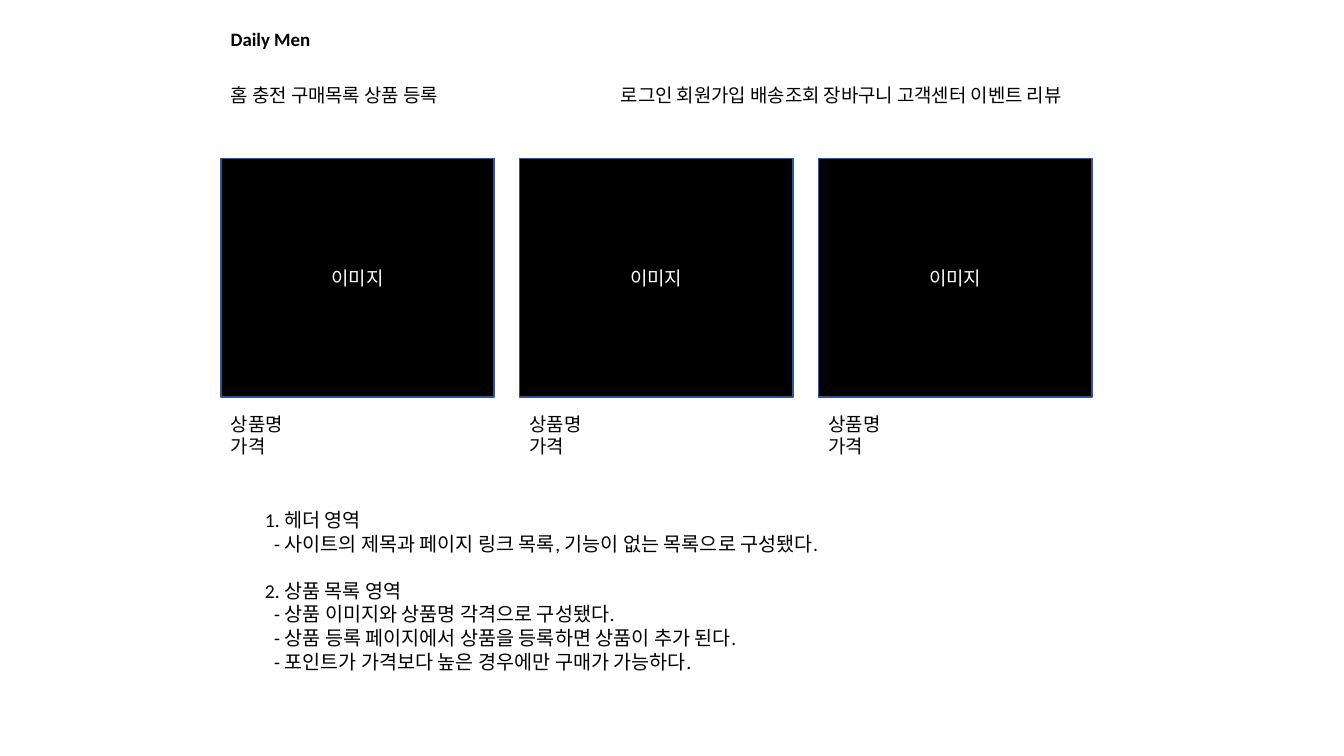
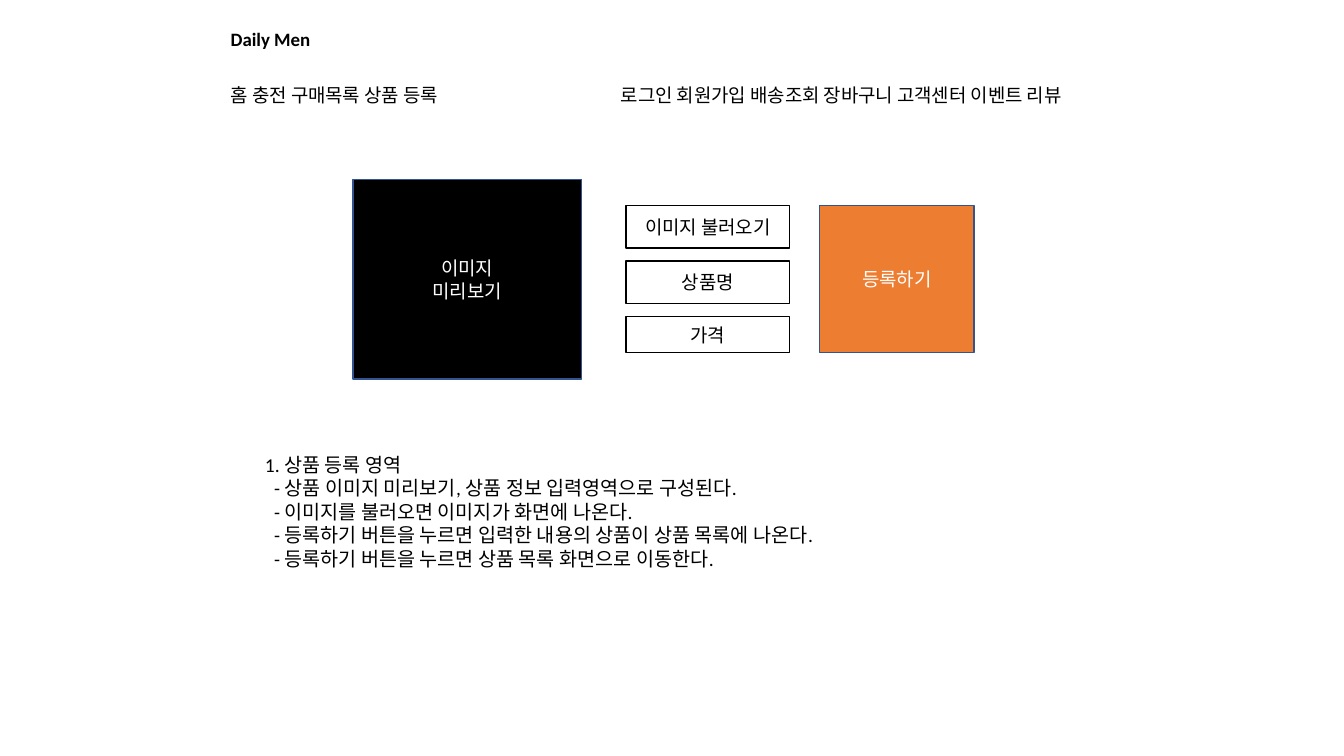
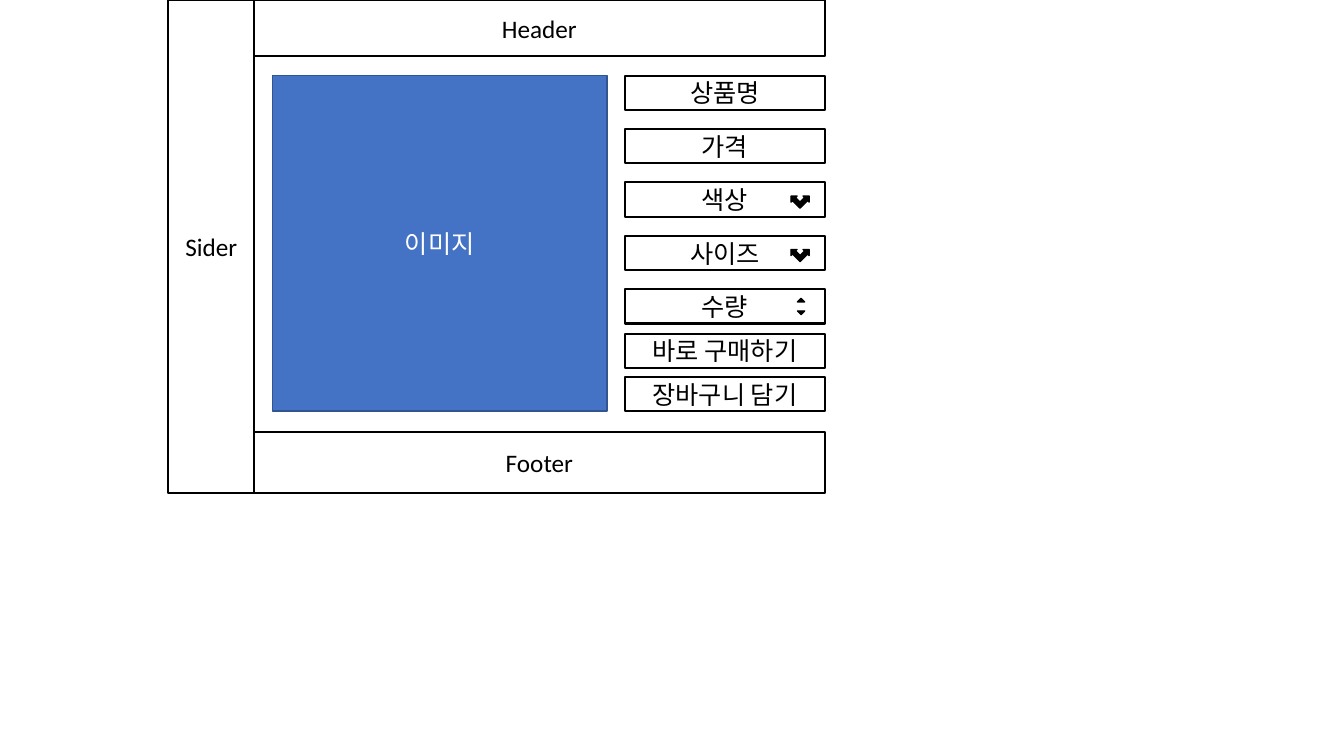
import pptx
import pptx.util
import pptx.dml.color
import pptx.enum.shapes
import pptx.enum.text

Inches = pptx.util.Inches
Pt = pptx.util.Pt
Shape = pptx.enum.shapes.MSO_SHAPE
Align = pptx.enum.text.PP_ALIGN
Anchor = pptx.enum.text.MSO_ANCHOR
Fit = pptx.enum.text.MSO_AUTO_SIZE

BLACK = "000000"
WHITE = "FFFFFF"
BLUE = "4472C4"
NAVY = "325491"
ORANGE = "ED7D31"


def color(code):
    return pptx.dml.color.RGBColor.from_string(code)


class Deck:
    font = "Calibri"
    body = 13.5
    left = 2.19

    def __init__(self):
        self.file = pptx.Presentation()
        self.file.slide_width = Inches(13.33)
        self.file.slide_height = Inches(7.5)
        self.slide = None

    def page(self):
        self.slide = self.file.slides.add_slide(self.file.slide_layouts[6])

    def style(self, frame, size, ink, bold=False):
        for para in frame.paragraphs:
            for run in para.runs:
                run.font.name = self.font
                run.font.size = Pt(size)
                run.font.bold = bold
                run.font.color.rgb = color(ink)

    def text(self, words, x, y, w, h, size=body, bold=False):
        box = self.slide.shapes.add_textbox(Inches(x), Inches(y), Inches(w), Inches(h))
        frame = box.text_frame
        frame.word_wrap = True
        frame.auto_size = Fit.SHAPE_TO_FIT_TEXT
        frame.text = words
        self.style(frame, size, BLACK, bold)
        return frame

    def shape(self, kind, x, y, w, h, fill=None, line=BLACK, width=1, turn=0):
        item = self.slide.shapes.add_shape(kind, Inches(x), Inches(y), Inches(w), Inches(h))
        item.shadow.inherit = False
        item.rotation = turn
        if fill:
            item.fill.solid()
            item.fill.fore_color.rgb = color(fill)
        else:
            item.fill.background()
        item.line.color.rgb = color(line)
        item.line.width = Pt(width)
        return item

    def box(self, words, x, y, w, h, fill=None, line=BLACK, width=1, ink=BLACK, size=body):
        frame = self.shape(Shape.RECTANGLE, x, y, w, h, fill, line, width).text_frame
        frame.text = words
        frame.vertical_anchor = Anchor.MIDDLE
        for para in frame.paragraphs:
            para.alignment = Align.CENTER
        self.style(frame, size, ink)

    def panel(self, words, x, y, w, h, fill=BLACK, size=body):
        self.box(words, x, y, w, h, fill, NAVY, 1, WHITE, size)

    def frame(self, words, x, y, w, h):
        self.box(words, x, y, w, h, width=1.5, size=18)

    def header(self):
        self.text("Daily Men", self.left, 0.23, 2.63, 0.33, bold=True)
        self.text("홈 충전 구매목록 상품 등록", self.left, 0.78, 2.63, 0.33)
        self.text("로그인 회원가입 배송조회 장바구니 고객센터 이벤트 리뷰", 6.06, 0.78, 5.61, 0.33)

    def notes(self, y, h, lines):
        frame = self.text("\n".join(lines), 2.53, y, 6.24, h, size=14)
        for rank, para in enumerate(frame.paragraphs):
            if para.text.startswith("-"):
                para._p.get_or_add_pPr().set("marL", str(Inches(0.09)))
            elif rank:
                para.space_before = Pt(17)


def catalog(deck):
    deck.page()
    deck.header()
    for col in range(3):
        x = deck.left + col * 2.965
        deck.panel("이미지", x, 1.57, 2.71, 2.37)
        deck.text("상품명\n가격", x, 4.04, 2.71, 0.56)
    deck.notes(4.99, 1.75, [
        "1. 헤더 영역",
        "- 사이트의 제목과 페이지 링크 목록, 기능이 없는 목록으로 구성됐다.",
        "2. 상품 목록 영역",
        "- 상품 이미지와 상품명 각격으로 구성됐다.",
        "- 상품 등록 페이지에서 상품을 등록하면 상품이 추가 된다.",
        "- 포인트가 가격보다 높은 경우에만 구매가 가능하다.",
    ])


def entry(deck):
    deck.page()
    deck.header()
    deck.panel("이미지\n미리보기", 3.5, 1.78, 2.27, 1.98)
    deck.panel("등록하기", 8.13, 2.04, 1.53, 1.46, ORANGE)
    fields = [("이미지 불러오기", 0.42), ("상품명", 0.42), ("가격", 0.36)]
    for row, (label, high) in enumerate(fields):
        deck.box(label, 6.21, 2.04 + row * 0.55, 1.62, high, WHITE)
    deck.notes(4.44, 1.28, [
        "1. 상품 등록 영역",
        "- 상품 이미지 미리보기, 상품 정보 입력영역으로 구성된다.",
        "- 이미지를 불러오면 이미지가 화면에 나온다.",
        "- 등록하기 버튼을 누르면 입력한 내용의 상품이 상품 목록에 나온다.",
        "- 등록하기 버튼을 누르면 상품 목록 화면으로 이동한다.",
    ])


def detail(deck):
    deck.page()
    deck.frame("Header", 2.52, 0, 5.66, 0.56)
    deck.frame("Sider", 1.67, 0, 0.85, 4.89)
    deck.frame("Footer", 2.52, 4.29, 5.66, 0.6)
    deck.panel("이미지", 2.7, 0.75, 3.32, 3.33, BLUE, 18)
    for row, label in enumerate(["상품명", "가격", "색상", "사이즈", "수량"]):
        y = 0.75 + row * 0.53
        deck.frame(label, 6.2, y, 1.98, 0.34)
        if label in ("색상", "사이즈"):
            deck.shape(Shape.LEFT_UP_ARROW, 7.85, y + 0.08, 0.17, 0.17, BLACK, turn=45)
    for row, label in enumerate(["바로 구매하기", "장바구니 담기"]):
        deck.frame(label, 6.2, 3.31 + row * 0.43, 1.98, 0.34)
    for y, turn in [(2.97, 135), (3.06, 315)]:
        deck.shape(Shape.RIGHT_TRIANGLE, 7.92, y, 0.05, 0.05, BLACK, turn=turn)


def main():
    deck = Deck()
    catalog(deck)
    entry(deck)
    detail(deck)
    deck.file.save("out.pptx")


if __name__ == "__main__":
    main()
